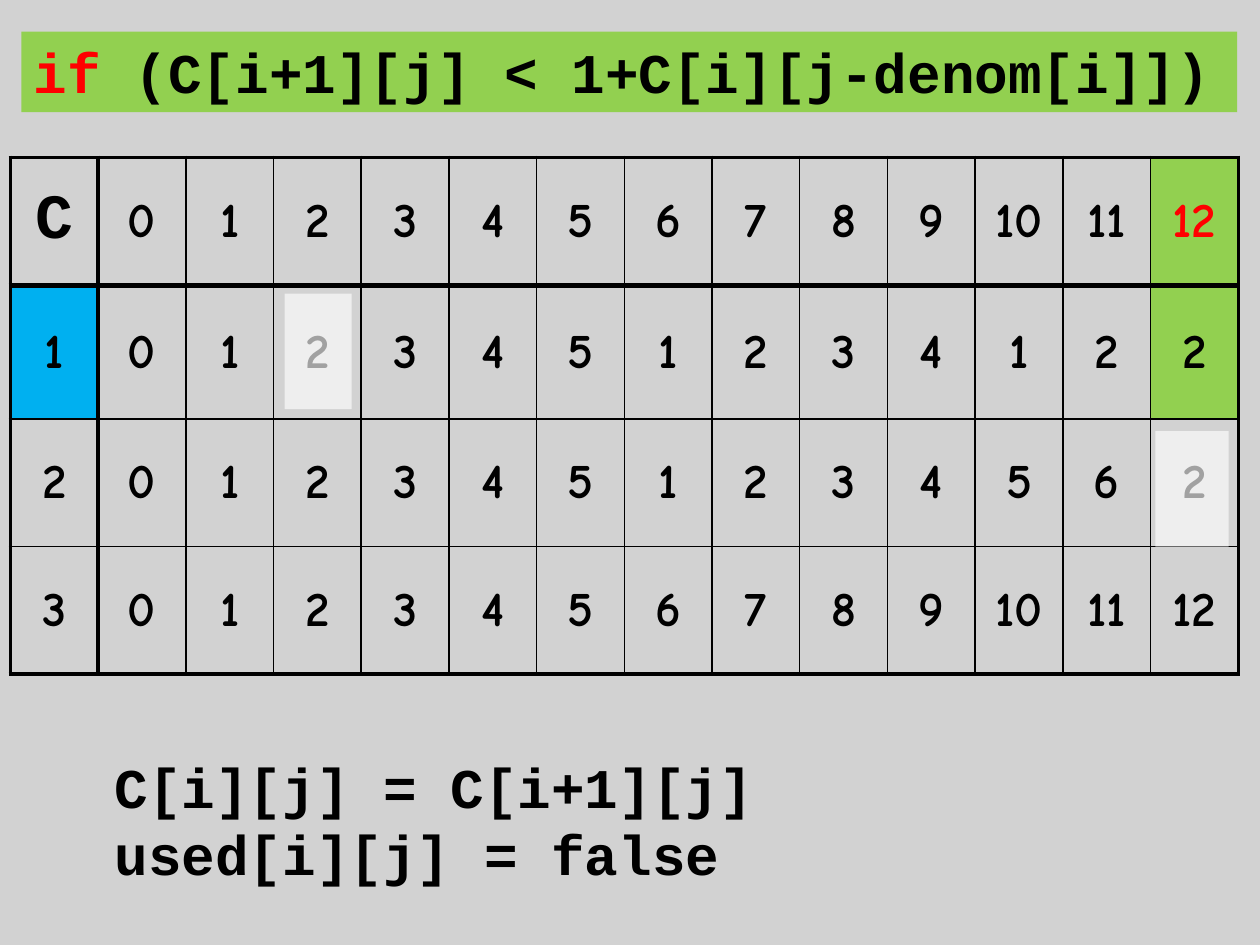
from lxml import etree
from pptx import Presentation
from pptx.dml.color import RGBColor
from pptx.enum.shapes import MSO_SHAPE
from pptx.enum.text import MSO_ANCHOR, MSO_AUTO_SIZE, PP_ALIGN
from pptx.oxml.ns import qn
from pptx.util import Cm, Pt

BLACK = RGBColor(0x00, 0x00, 0x00)
WHITE = RGBColor(0xFF, 0xFF, 0xFF)
RED = RGBColor(0xFF, 0x00, 0x00)
GREEN = RGBColor(0x92, 0xD0, 0x50)
BLUE = RGBColor(0x00, 0xB0, 0xF0)
GRAY = RGBColor(0xC0, 0xC0, 0xC0)

CODE_FONT = "Courier New"
DIGIT_FONT = "Comic Neue"

COINS_TABLE = [
    ["C", *range(13)],
    [1, 0, 1, 2, 3, 4, 5, 1, 2, 3, 4, 1, 2, 2],
    [2, 0, 1, 2, 3, 4, 5, 1, 2, 3, 4, 5, 6, 2],
    [3, *range(13)],
]
ROW_HEIGHTS = [2.58, 2.7, 2.57, 2.57]
CELL_FILLS = {(0, 13): GREEN, (1, 0): BLUE, (1, 13): GREEN}
THIN, OUTER, HEADER = 1, 2.25, 3


def write(frame, lines, font=CODE_FONT, size=32, align=PP_ALIGN.LEFT):
    """Fill a text frame; each line is a list of (text, colour) runs."""
    for index, line in enumerate(lines):
        paragraph = frame.paragraphs[0] if index == 0 else frame.add_paragraph()
        paragraph.alignment = align
        for text, color in line:
            run = paragraph.add_run()
            run.text = text
            run.font.name = font
            run.font.size = Pt(size)
            run.font.bold = True
            run.font.color.rgb = color


def add_panel(slide, box, color, opacity=100):
    panel = slide.shapes.add_shape(MSO_SHAPE.RECTANGLE, *map(Cm, box))
    panel.shadow.inherit = False
    panel.line.fill.background()
    panel.fill.solid()
    panel.fill.fore_color.rgb = color
    if opacity < 100:
        tint = panel.fill._xPr.find(".//" + qn("a:srgbClr"))
        etree.SubElement(tint, qn("a:alpha"), val=str(opacity * 1000))
    return panel


def fit_to_text(frame):
    frame.word_wrap = True
    frame.auto_size = MSO_AUTO_SIZE.SHAPE_TO_FIT_TEXT
    frame.vertical_anchor = MSO_ANCHOR.TOP


def add_condition(slide, box):
    frame = add_panel(slide, box, GREEN).text_frame
    fit_to_text(frame)
    write(frame, [[("if ", RED), ("(C[i+1][j] < 1+C[i][j-denom[i]])", BLACK)]])


def add_assignments(slide, box):
    frame = slide.shapes.add_textbox(*map(Cm, box)).text_frame
    fit_to_text(frame)
    write(frame, [[("C[i][j] = C[i+1][j]", BLACK)],
                  [("used[i][j] = false", BLACK)]])


def grid_line(index, count):
    """Width of the grid line before the row or column at index."""
    return {0: OUTER, 1: HEADER, count: OUTER}.get(index, THIN)


def set_borders(cell, widths):
    properties = cell._tc.get_or_add_tcPr()
    for side, width in widths.items():
        line = etree.SubElement(properties, qn(f"a:ln{side}"), w=str(Pt(width)))
        fill = etree.SubElement(line, qn("a:solidFill"))
        etree.SubElement(fill, qn("a:srgbClr"), val=str(BLACK))


def add_coins_table(slide, box):
    row_count, column_count = len(COINS_TABLE), len(COINS_TABLE[0])
    table = slide.shapes.add_table(row_count, column_count, *map(Cm, box)).table
    table.first_row = table.horz_banding = False
    for column in table.columns:
        column.width = Cm(box[2] / column_count)
    for r, values in enumerate(COINS_TABLE):
        table.rows[r].height = Cm(ROW_HEIGHTS[r])
        for c, value in enumerate(values):
            cell = table.cell(r, c)
            cell.vertical_anchor = MSO_ANCHOR.MIDDLE
            set_borders(cell, {
                "L": grid_line(c, column_count),
                "R": grid_line(c + 1, column_count),
                "T": grid_line(r, row_count),
                "B": grid_line(r + 1, row_count),
            })
            if (r, c) in CELL_FILLS:
                cell.fill.solid()
                cell.fill.fore_color.rgb = CELL_FILLS[r, c]
            else:
                cell.fill.background()
            is_corner = (r, c) == (0, 0)
            color = RED if (r, c) == (0, column_count - 1) else BLACK
            write(cell.text_frame, [[(str(value), color)]],
                  font=CODE_FONT if is_corner else DIGIT_FONT,
                  size=36 if is_corner else 28, align=PP_ALIGN.CENTER)


def main():
    deck = Presentation()
    deck.slide_width, deck.slide_height = Cm(25.4), Cm(19.05)
    slide = deck.slides.add_slide(deck.slide_layouts[6])
    add_panel(slide, (0, 0, 25.4, 19.05), GRAY, opacity=70)
    add_coins_table(slide, (0.21, 3.17, 24.76, sum(ROW_HEIGHTS)))
    add_panel(slide, (23.29, 8.69, 1.48, 2.33), WHITE, opacity=63)
    add_condition(slide, (0.43, 0.64, 24.51, 1.62))
    add_panel(slide, (5.74, 5.92, 1.35, 2.33), WHITE, opacity=63)
    add_assignments(slide, (2.06, 15.04, 13.54, 3))
    deck.save("out.pptx")


if __name__ == "__main__":
    main()
